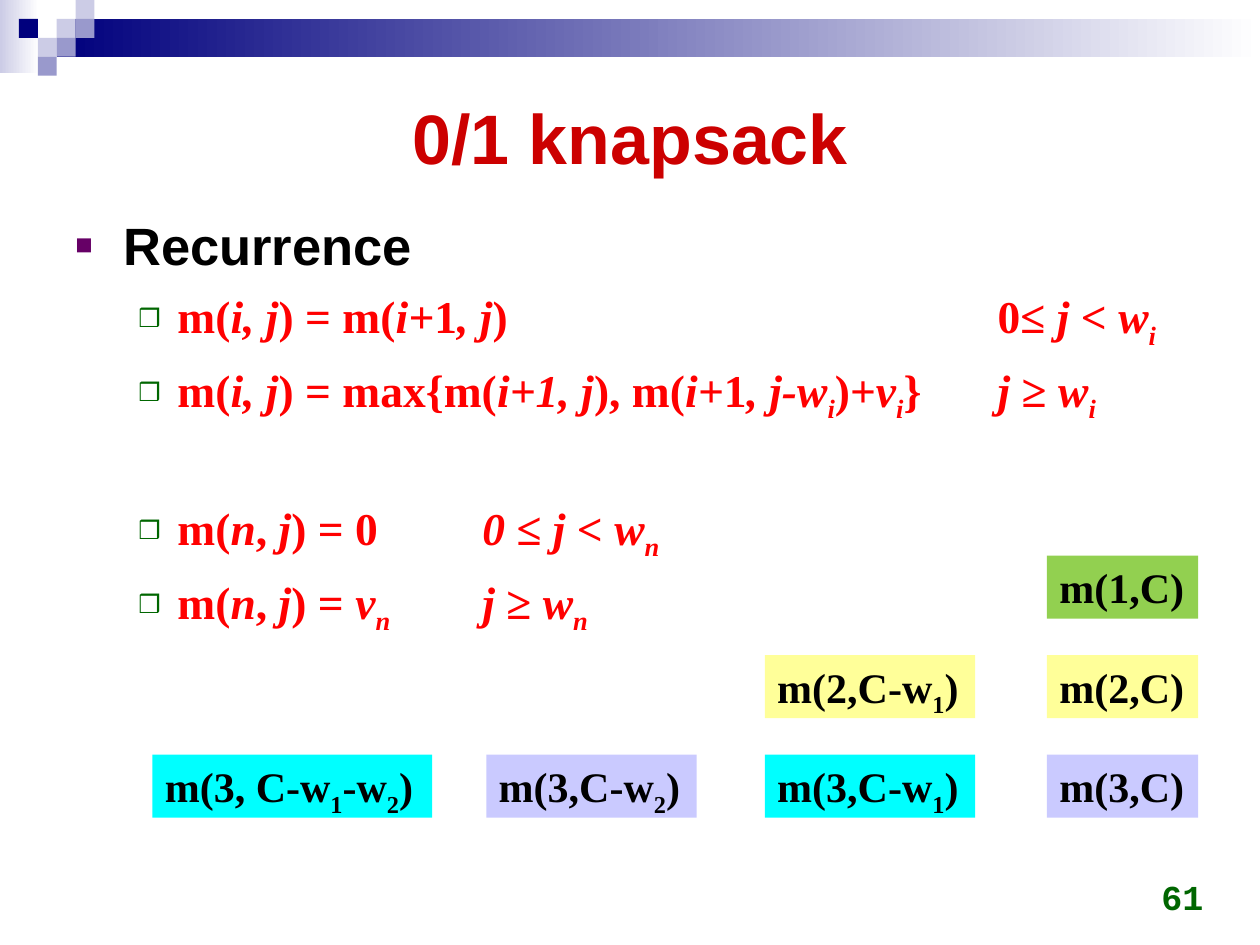
"""Build the 0/1 knapsack recurrence slide."""
from dataclasses import dataclass
from typing import Optional

from lxml import etree
from pptx import Presentation, util as u
from pptx.dml.color import RGBColor
from pptx.enum import shapes, text
from pptx.oxml.ns import qn

NAVY = RGBColor(0x00, 0x00, 0x7D)
LILAC = RGBColor(0xCC, 0xCC, 0xE6)
VIOLET = RGBColor(0x99, 0x99, 0xCC)
WHITE = RGBColor(0xFF, 0xFF, 0xFF)
BLACK = RGBColor(0x00, 0x00, 0x00)
CRIMSON = RGBColor(0xCC, 0x00, 0x00)
RED = RGBColor(0xFF, 0x00, 0x00)
PURPLE = RGBColor(0x66, 0x00, 0x66)
GREEN = RGBColor(0x00, 0x66, 0x00)
LIME = RGBColor(0x92, 0xD0, 0x50)
YELLOW = RGBColor(0xFF, 0xFF, 0x99)
CYAN = RGBColor(0x00, 0xFF, 0xFF)
LAVENDER = RGBColor(0xCA, 0xCA, 0xFF)

WIDTH, HEIGHT = 10, 7.5
TILE = 0.15
STATE_COLUMNS = ((1.21, 2.22), (3.86, 1.67), (6.07, 1.67), (8.31, 1.2))
STATE_TOP, STATE_PITCH, STATE_HEIGHT = 4.41, 0.79, 0.5


@dataclass
class Tile:
    column: int
    row: int
    color: RGBColor


@dataclass
class State:
    label: str
    column: int
    row: int
    color: RGBColor


@dataclass
class Bullet:
    symbol: str
    color: RGBColor
    margin: float
    hanging: float


@dataclass
class Line:
    wording: str
    bullet: Bullet
    size: int = 26
    font: str = "Times New Roman"
    color: RGBColor = RED
    before: float = 5
    tab: Optional[float] = None


TOPIC = Bullet("■", PURPLE, 0.38, 0.38)
RULE = Bullet("❒", GREEN, 0.81, 0.31)

TILES = (
    Tile(3, 1, LILAC), Tile(4, 0, LILAC), Tile(4, 1, VIOLET), Tile(2, 2, LILAC),
    Tile(1, 1, NAVY), Tile(3, 2, VIOLET), Tile(2, 3, VIOLET),
)
LINES = (
    Line("Recurrence", TOPIC, 30, "Arial", BLACK, before=0),
    Line("m(*i, j*) = m(*i+*1*, j*)\t0≤ *j *< *w_i_*", RULE, tab=7.32),
    Line("m(*i, j*) = max{m(*i+1, j*), m(*i+*1*, j-w_i_*)+*v_i_*}\t*j* ≥ *w_i_*", RULE, tab=7.32),
    Line("m(*n*, *j*) = 0\t*0 *≤ *j *< *w_n_*", RULE, before=41.5, tab=3.23),
    Line("m(*n*,* j*) = *v_n_*\t*j *≥ *w_n_*", RULE, tab=3.23),
)
STATES = (
    State("m(1,C)", 3, 0, LIME),
    State("m(2,C-w_1_)", 2, 1, YELLOW),
    State("m(2,C)", 3, 1, YELLOW),
    State("m(3, C-w_1_-w_2_)", 0, 2, CYAN),
    State("m(3,C-w_2_)", 1, 2, LAVENDER),
    State("m(3,C-w_1_)", 2, 2, CYAN),
    State("m(3,C)", 3, 2, LAVENDER),
)


def write(paragraph, wording: str, *, size: int, font: str, color: RGBColor,
          align=text.PP_ALIGN.LEFT) -> None:
    """Write bold text in which *...* is italic and _..._ is subscript."""
    paragraph.alignment = align
    for i, part in enumerate(wording.split("*")):
        for j, piece in enumerate(part.split("_")):
            if not piece:
                continue
            run = paragraph.add_run()
            run.text = piece
            run.font.size, run.font.name = u.Pt(size), font
            run.font.bold, run.font.italic = True, i % 2 == 1
            run.font.color.rgb = color
            if j % 2:
                run.font._element.set("baseline", "-25000")


def add_block(slide, left: float, top: float, width: float, height: float,
              color: RGBColor, fade_to: Optional[RGBColor] = None):
    """Add a borderless rectangle, solid or fading to the right."""
    block = slide.shapes.add_shape(
        shapes.MSO_SHAPE.RECTANGLE, *map(u.Inches, (left, top, width, height)))
    block.shadow.inherit = False
    block.line.fill.background()
    if fade_to is None:
        block.fill.solid()
        block.fill.fore_color.rgb = color
    else:
        block.fill.gradient()
        block.fill.gradient_angle = 0
        for stop, shade, position in zip(block.fill.gradient_stops, (color, fade_to), (0, 1)):
            stop.color.rgb, stop.position = shade, position
    return block


def add_text_frame(slide, left: float, top: float, width: float, height: float):
    """Add a wrapping text box and return its frame."""
    frame = slide.shapes.add_textbox(*map(u.Inches, (left, top, width, height))).text_frame
    frame.word_wrap = True
    return frame


def set_bullet(paragraph, bullet: Bullet, tab: Optional[float]) -> None:
    """Give a paragraph its bullet, hanging indent and tab stop."""
    properties = paragraph._p.get_or_add_pPr()
    properties.set("marL", str(u.Inches(bullet.margin)))
    properties.set("indent", str(-u.Inches(bullet.hanging)))
    tint = etree.SubElement(properties, qn("a:buClr"))
    etree.SubElement(tint, qn("a:srgbClr"), val=str(bullet.color))
    etree.SubElement(properties, qn("a:buSzPct"), val="55000")
    etree.SubElement(properties, qn("a:buFont"), typeface="Arial")
    etree.SubElement(properties, qn("a:buChar"), char=bullet.symbol)
    if tab is not None:
        stops = etree.SubElement(properties, qn("a:tabLst"))
        etree.SubElement(stops, qn("a:tab"), pos=str(u.Inches(tab)), algn="l")


def add_recurrence(slide) -> None:
    """Add the bulleted recurrence."""
    frame = add_text_frame(slide, 0.05 * WIDTH, 1.62, 0.9 * WIDTH, 5.2)
    for index, line in enumerate(LINES):
        paragraph = frame.add_paragraph() if index else frame.paragraphs[0]
        set_bullet(paragraph, line.bullet, line.tab)
        paragraph.line_spacing = 1.05
        paragraph.space_before = u.Pt(line.before)
        write(paragraph, line.wording, size=line.size, font=line.font, color=line.color)


def add_state(slide, state: State) -> None:
    """Add one labelled subproblem at its grid position."""
    left, width = STATE_COLUMNS[state.column]
    block = add_block(slide, left, STATE_TOP + state.row * STATE_PITCH,
                      width, STATE_HEIGHT, state.color)
    frame = block.text_frame
    frame.word_wrap = False
    frame.vertical_anchor = text.MSO_ANCHOR.TOP
    write(frame.paragraphs[0], state.label, size=24, font="Times New Roman", color=BLACK)


def main() -> None:
    """Build and save the slide."""
    deck = Presentation()
    deck.slide_width, deck.slide_height = u.Inches(WIDTH), u.Inches(HEIGHT)
    slide = deck.slides.add_slide(deck.slide_layouts[5])

    add_block(slide, 0, 0, 0.31, 0.58, LILAC, WHITE)
    add_block(slide, 3 * TILE, TILE, WIDTH - 3 * TILE, 2 * TILE, NAVY, WHITE)
    for tile in TILES:
        add_block(slide, tile.column * TILE, tile.row * TILE, TILE, TILE, tile.color)

    title = slide.shapes.title
    title.left, title.top = u.Inches(0.05 * WIDTH), u.Inches(0.5)
    title.width, title.height = u.Inches(0.9 * WIDTH), u.Inches(1.16)
    title.text_frame.vertical_anchor = text.MSO_ANCHOR.MIDDLE
    write(title.text_frame.paragraphs[0], "0/1 knapsack", size=40, font="Arial",
          color=CRIMSON, align=text.PP_ALIGN.CENTER)

    add_recurrence(slide)
    page = add_text_frame(slide, 7.32, 6.83, 2.33, 0.5)
    page.vertical_anchor = text.MSO_ANCHOR.BOTTOM
    write(page.paragraphs[0], "61", size=20, font="Courier New", color=GREEN,
          align=text.PP_ALIGN.RIGHT)
    for state in STATES:
        add_state(slide, state)
    deck.save("out.pptx")


if __name__ == "__main__":
    main()
